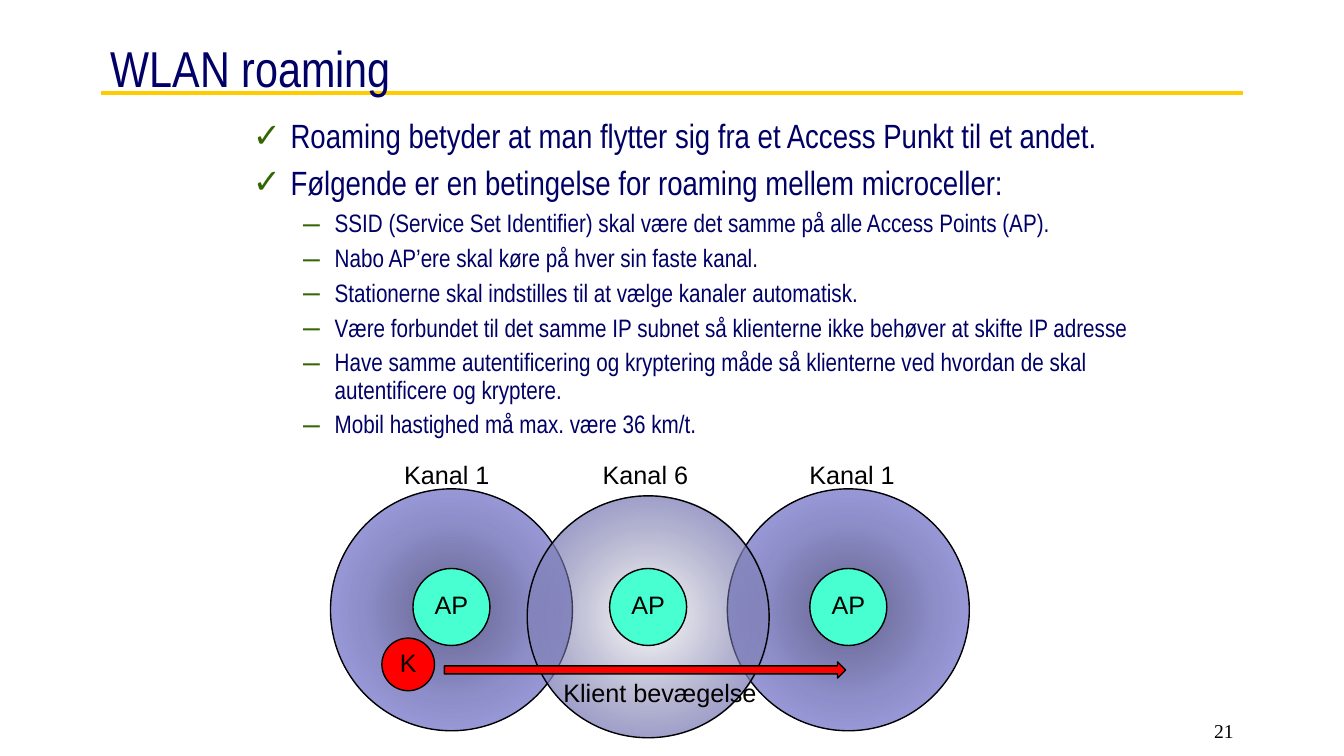
from lxml import etree
from pptx import Presentation
from pptx.dml.color import RGBColor
from pptx.enum.shapes import MSO_CONNECTOR, MSO_SHAPE
from pptx.enum.text import MSO_ANCHOR, PP_ALIGN
from pptx.oxml import parse_xml
from pptx.oxml.ns import nsdecls, qn
from pptx.util import Pt

OVAL, ARROW = MSO_SHAPE.OVAL, MSO_SHAPE.RIGHT_ARROW
TOP, MIDDLE = MSO_ANCHOR.TOP, MSO_ANCHOR.MIDDLE
LEFT, CENTER, RIGHT = PP_ALIGN.LEFT, PP_ALIGN.CENTER, PP_ALIGN.RIGHT

NAVY = RGBColor(0x00, 0x00, 0x66)
GREEN = RGBColor(0x33, 0x66, 0x00)
GOLD = RGBColor(0xFF, 0xCC, 0x00)
BLACK = RGBColor(0x00, 0x00, 0x00)
RED = RGBColor(0xFF, 0x00, 0x00)
MINT = RGBColor(0x47, 0xFF, 0xD1)
CELL_DARK = RGBColor(0x64, 0x64, 0x8E)
CELL_MID = RGBColor(0x8E, 0x8E, 0xCA)
CELL_LIGHT = RGBColor(0xA9, 0xA9, 0xEF)

NARROW, SANS, SERIF = "Arial Narrow", "Arial", "Times New Roman"

POINTS = [
    (0, "Roaming betyder at man flytter sig fra et Access Punkt til et andet."),
    (0, "Følgende er en betingelse for roaming mellem microceller:"),
    (1, "SSID (Service Set Identifier) skal være det samme på alle Access Points (AP)."),
    (1, "Nabo AP’ere skal køre på hver sin faste kanal."),
    (1, "Stationerne skal indstilles til at vælge kanaler automatisk."),
    (1, "Være forbundet til det samme IP subnet så klienterne ikke behøver at skifte IP adresse"),
    (1, "Have samme autentificering og kryptering måde så klienterne ved hvordan de skal "
        "autentificere og kryptere."),
    (1, "Mobil hastighed må max. være 36 km/t."),
]
# level: (size, left margin, hanging indent, bullet, bullet size in percent)
LEVELS = {0: (24, 27, 27, "✓", 100), 1: (18, 58.5, 22.5, "–", 120)}

CELL, AP, CLIENT = 172.8, 55, 37.6
# centre x, centre y, label left, label, middle gradient stop, centre opacity
CELLS = [
    (322.5, 435.6, 281.5, "Kanal 1", 53, 100),
    (606, 435.6, 571, "Kanal 1", 53, 100),
    (463, 440.6, 423.4, "Kanal 6", 91, 0),
]
AP_Y = 433.6


def write(p, text, size=18, font=SANS, color=BLACK, align=LEFT, spacing=1.0):
    p.alignment = align
    p.line_spacing = spacing
    p.space_before = Pt(0)
    r = p.add_run()
    r.text = text
    r.font.size = Pt(size)
    r.font.name = font
    r.font.color.rgb = color


def add_bullet(p, char, percent, left, hanging):
    pPr = p._p.get_or_add_pPr()
    pPr.set("marL", str(Pt(left)))
    pPr.set("indent", str(-Pt(hanging)))
    color = etree.SubElement(pPr, qn("a:buClr"))
    etree.SubElement(color, qn("a:srgbClr"), val=str(GREEN))
    etree.SubElement(pPr, qn("a:buSzPct"), val=str(percent * 1000))
    etree.SubElement(pPr, qn("a:buFont"), typeface=SANS)
    etree.SubElement(pPr, qn("a:buChar"), char=char)


class Deck:
    def __init__(self):
        self.prs = Presentation()
        self.prs.slide_width, self.prs.slide_height = Pt(960), Pt(540)
        self.s = self.prs.slides.add_slide(self.prs.slide_layouts[6])

    def rule(self, x1, x2, y, color, width):
        line = self.s.shapes.add_connector(
            MSO_CONNECTOR.STRAIGHT, Pt(x1), Pt(y), Pt(x2), Pt(y))
        line.line.color.rgb = color
        line.line.width = Pt(width)
        etree.SubElement(line._element.spPr, qn("a:effectLst"))

    def text_frame(self, x, y, w, h, anchor=TOP):
        tf = self.s.shapes.add_textbox(Pt(x), Pt(y), Pt(w), Pt(h)).text_frame
        tf.word_wrap = True
        tf.vertical_anchor = anchor
        return tf

    def text(self, x, y, w, h, text, anchor=TOP, **style):
        write(self.text_frame(x, y, w, h, anchor).paragraphs[0], text, **style)

    def bullets(self, x, y, w, h, items):
        tf = self.text_frame(x, y, w, h)
        for i, (level, text) in enumerate(items):
            size, left, hanging, char, percent = LEVELS[level]
            p = tf.add_paragraph() if i else tf.paragraphs[0]
            p.level = level
            write(p, text, size=size, font=NARROW, color=NAVY, spacing=0.9)
            if i:
                p.space_before = Pt(0.2 * size)
            p.space_after = Pt(0.1 * size)
            add_bullet(p, char, percent, left, hanging)

    def shape(self, kind, x, y, w, h, fill):
        sp = self.s.shapes.add_shape(kind, Pt(x), Pt(y), Pt(w), Pt(h))
        sp.shadow.inherit = False
        sp.fill.solid()
        sp.fill.fore_color.rgb = fill
        sp.line.color.rgb = BLACK
        sp.line.width = Pt(1)
        return sp

    def circle(self, cx, cy, d, fill, text=None):
        sp = self.shape(OVAL, cx - d / 2, cy - d / 2, d, d, fill)
        if text:
            tf = sp.text_frame
            tf.margin_left = tf.margin_right = tf.margin_top = tf.margin_bottom = 0
            tf.word_wrap = False
            tf.vertical_anchor = MIDDLE
            write(tf.paragraphs[0], text, align=CENTER, spacing=0.85)
        return sp

    def radio_cell(self, cx, cy, middle, opacity):
        """Circle with a radial gradient, dark or see-through at its centre."""
        sp = self.circle(cx, cy, CELL, CELL_MID)
        solid = sp._element.spPr.find(qn("a:solidFill"))
        solid.getparent().replace(solid, parse_xml(
            f'<a:gradFill {nsdecls("a")} rotWithShape="1"><a:gsLst>'
            f'<a:gs pos="0"><a:srgbClr val="{CELL_DARK}">'
            f'<a:alpha val="{opacity * 1000}"/></a:srgbClr></a:gs>'
            f'<a:gs pos="{middle * 1000}"><a:srgbClr val="{CELL_MID}"/></a:gs>'
            f'<a:gs pos="100000"><a:srgbClr val="{CELL_LIGHT}"/></a:gs></a:gsLst>'
            '<a:path path="circle"><a:fillToRect l="50000" t="50000" r="50000" b="50000"/>'
            '</a:path></a:gradFill>'))


def main():
    deck = Deck()
    deck.rule(72, 888, 66.2, GOLD, 3)
    deck.text(72, 12.2, 816, 72, "WLAN roaming", anchor=MIDDLE,
              size=36, font=NARROW, color=NAVY)
    deck.bullets(173.5, 82, 651, 240, POINTS)

    for cx, cy, label_x, label, middle, opacity in CELLS:
        deck.radio_cell(cx, cy, middle, opacity)
    for cx, cy, label_x, label, middle, opacity in CELLS:
        deck.circle(cx, AP_Y, AP, MINT, "AP")
        deck.text(label_x, 327.6, 85, 26, label, spacing=0.85)

    deck.circle(291.6, 474.6, CLIENT, RED, "K")
    deck.shape(ARROW, 317.4, 472.8, 286.6, 11.5, RED)
    deck.text(395.3, 483.8, 162, 26, "Klient bevægelse", spacing=0.85)
    deck.text(688.3, 509.8, 200, 18, "21", size=14, font=SERIF, align=RIGHT)
    deck.prs.save("out.pptx")


if __name__ == "__main__":
    main()
